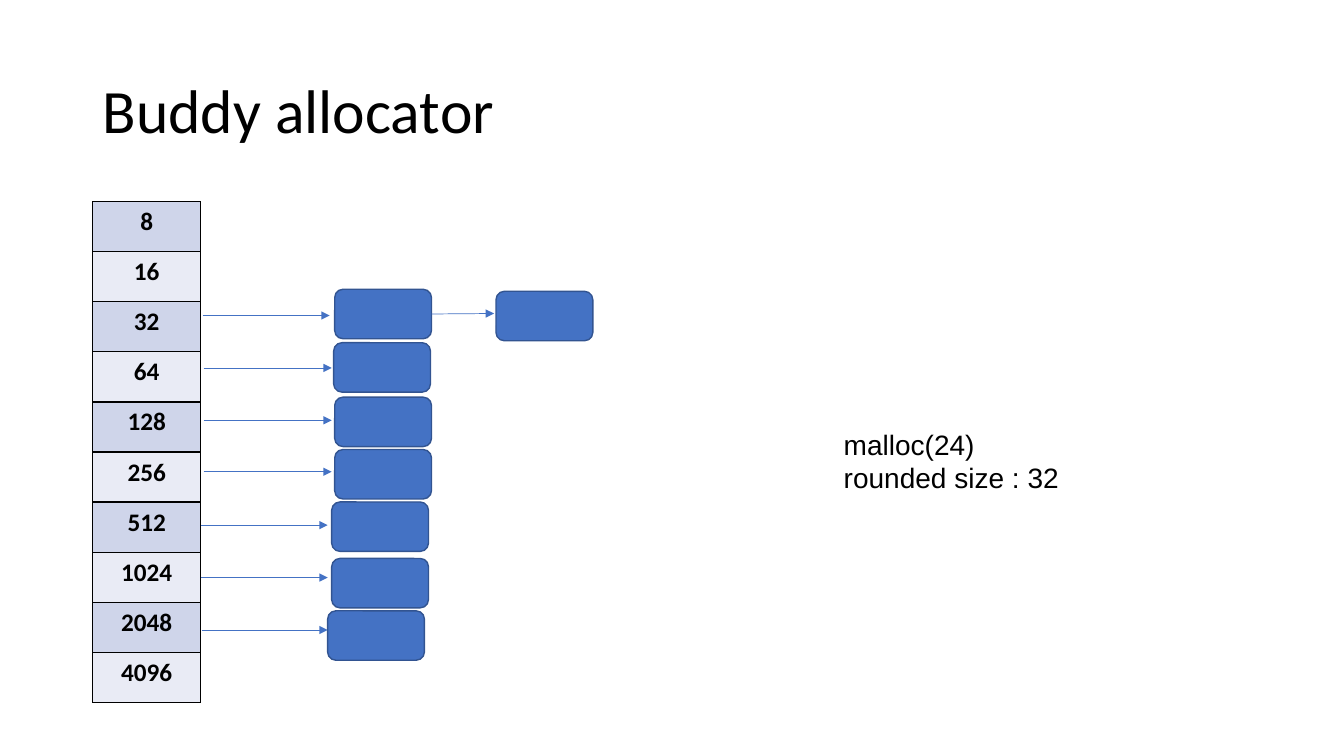
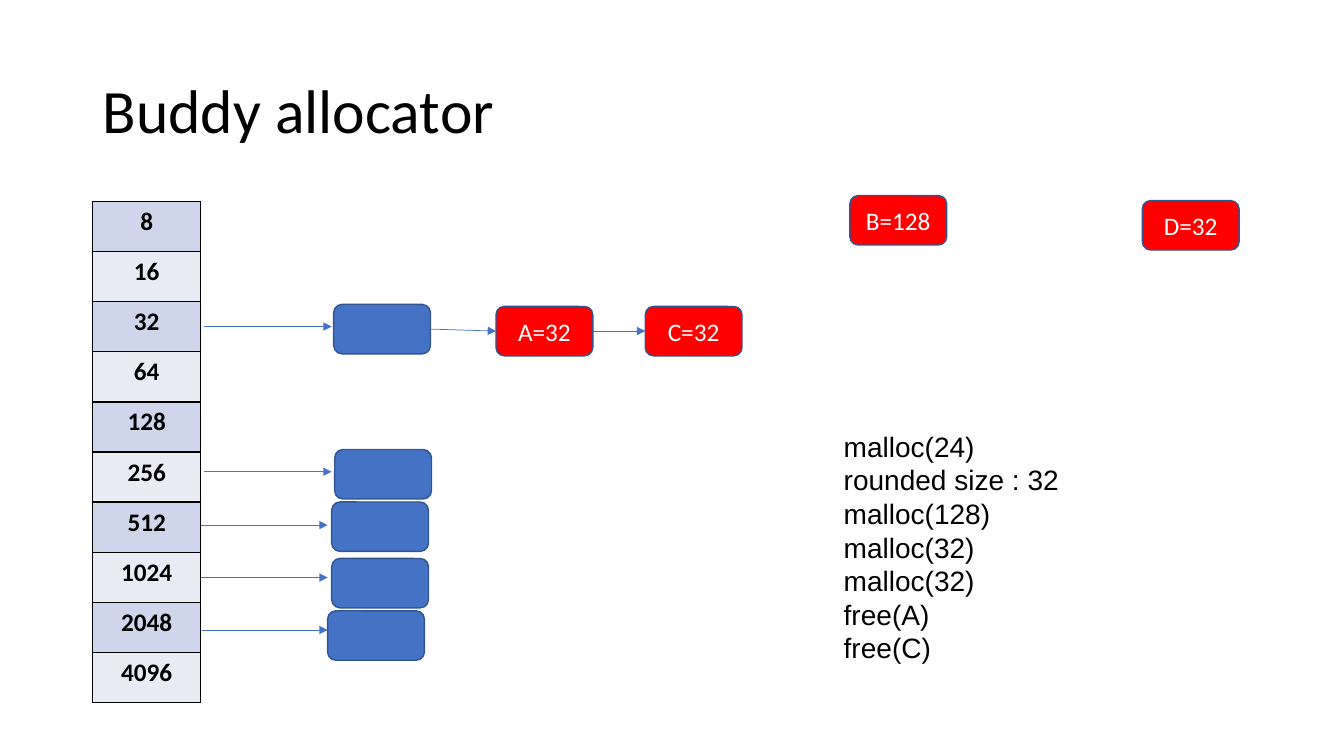
import pptx
import pptx.util
import pptx.dml.color
import pptx.enum.shapes
import pptx.enum.text
import pptx.oxml
import pptx.oxml.ns

Inches, Pt = pptx.util.Inches, pptx.util.Pt
ALIGN = pptx.enum.text.PP_ALIGN
MIDDLE = pptx.enum.text.MSO_ANCHOR.MIDDLE
KINDS = pptx.enum.shapes.MSO_SHAPE
STRAIGHT = pptx.enum.shapes.MSO_CONNECTOR.STRAIGHT

# Content
TITLE = "Buddy allocator"
SIZES = [2 ** n for n in range(3, 13)]
# Lists with free blocks on both slides: arrow (left, y, right), block (left, top)
SHARED = [
    ((2, 6.25, 3.25), (3.25, 6.06)),
    ((1.99, 5.73, 3.25), (3.29, 5.54)),
    ((1.99, 5.21, 3.25), (3.29, 4.98)),
    ((2.02, 4.68, 3.29), (3.32, 4.46)),
]
# Blocks are (left, top, label); links go from a block to a block or a point
SLIDES = [
    {
        "lists": SHARED + [
            ((2.02, 4.17, 3.29), (3.32, 3.94)),
            ((2.02, 3.65, 3.29), (3.31, 3.4)),
            ((2.01, 3.13, 3.27), (3.32, 2.87)),
        ],
        "blocks": {"next": (4.92, 2.89, "")},
        "links": [("head", (4.9, 3.11))],
        "calls": ["malloc(24)", "rounded size : 32"],
        "note": (8.27, 4.19, 4.04, 0.77),
    },
    {
        "lists": SHARED + [((2.02, 3.24, 3.29), (3.31, 3.02))],
        "blocks": {
            "B": (8.43, 1.94, "B=128"),
            "C": (6.4, 3.04, "C=32"),
            "A": (4.92, 3.04, "A=32"),
            "D": (11.33, 1.99, "D=32"),
        },
        "links": [("head", "A"), ("A", "C")],
        "calls": ["malloc(24)", "rounded size : 32", "malloc(128)",
                  "malloc(32)", "malloc(32)", "free(A)", "free(C)"],
        "note": (8.27, 4.21, 4.04, 2.46),
    },
]

# Look
HEX = {"ink": "000000", "white": "FFFFFF", "blue": "4472C4", "edge": "325491",
       "red": "FF0000", "dark": "CFD5EA", "light": "E9EBF5"}
FONTS = {
    "title": {"name": "Calibri", "size": Pt(44), "bold": False, "color": "ink"},
    "cell": {"name": "Calibri", "size": Pt(18), "bold": True, "color": "ink"},
    "block": {"name": "Calibri", "size": Pt(18), "color": "white"},
    "note": {"name": "Arial", "size": Pt(20), "color": "ink"},
}
TITLE_AT = (0.92, 0.4, 11.5, 1.45)
TABLE_AT = (0.92, 2, 1.07, 4.97)
BLOCK = (0.96, 0.49)


def rgb(name):
    return pptx.dml.color.RGBColor.from_string(HEX[name])


def inches(nums):
    return [Inches(n) for n in nums]


def write(frame, lines, style, **paras):
    """Fill a text frame with one paragraph a line."""
    frame.text = "\n".join(lines)
    for para in frame.paragraphs:
        for key, val in paras.items():
            setattr(para, key, val)
        for run in para.runs:
            for key, val in FONTS[style].items():
                if key == "color":
                    run.font.color.rgb = rgb(val)
                else:
                    setattr(run.font, key, val)


def add_title(slide):
    title = slide.shapes.title
    for key, val in zip(("left", "top", "width", "height"), inches(TITLE_AT)):
        setattr(title, key, val)
    write(title.text_frame, [TITLE], "title",
          alignment=ALIGN.LEFT, line_spacing=0.9)
    title.text_frame.vertical_anchor = MIDDLE


def add_sizes(slide):
    table = slide.shapes.add_table(len(SIZES), 1, *inches(TABLE_AT)).table
    table.first_row = table.horz_banding = False
    for i, size in enumerate(SIZES):
        cell = table.cell(i, 0)
        write(cell.text_frame, [str(size)], "cell", alignment=ALIGN.CENTER)
        props = cell._tc.get_or_add_tcPr()
        for side in ("lnL", "lnR", "lnT", "lnB"):
            props.append(pptx.oxml.parse_xml(
                f'<a:{side} {pptx.oxml.ns.nsdecls("a")} w="12700"><a:solidFill>'
                f'<a:srgbClr val="{HEX["ink"]}"/></a:solidFill></a:{side}>'))
        cell.fill.solid()
        cell.fill.fore_color.rgb = rgb("light" if i % 2 else "dark")


def add_block(slide, left, top, label=""):
    block = slide.shapes.add_shape(KINDS.ROUNDED_RECTANGLE,
                                   *inches((left, top) + BLOCK))
    block.shadow.inherit = False
    block.fill.solid()
    block.fill.fore_color.rgb = rgb("red" if label else "blue")
    block.line.color.rgb = rgb("edge")
    block.line.width = Pt(1)
    if label:
        write(block.text_frame, [label], "block", alignment=ALIGN.CENTER)
        block.text_frame.vertical_anchor = MIDDLE
    return block


def add_arrow(slide, start, end):
    arrow = slide.shapes.add_connector(STRAIGHT, *inches(start + end))
    arrow.line.color.rgb = rgb("blue")
    arrow.line.width = Pt(0.5)
    names = pptx.oxml.ns.nsdecls("a")
    arrow.line._get_or_add_ln().append(
        pptx.oxml.parse_xml(f'<a:tailEnd {names} type="triangle"/>'))
    arrow._element.spPr.append(pptx.oxml.parse_xml(f"<a:effectLst {names}/>"))
    return arrow


def add_links(slide, links, blocks):
    for source, target in links:
        joined = target in blocks
        arrow = add_arrow(slide, (0, 0), (0, 0) if joined else target)
        arrow.begin_connect(blocks[source], 3)
        if joined:
            arrow.end_connect(blocks[target], 1)


def add_note(slide, place, calls):
    frame = slide.shapes.add_textbox(*inches(place)).text_frame
    frame.word_wrap = True
    frame.auto_size = pptx.enum.text.MSO_AUTO_SIZE.SHAPE_TO_FIT_TEXT
    write(frame, calls, "note")


def main():
    deck = pptx.Presentation()
    deck.slide_width, deck.slide_height = inches((13.33, 7.5))
    for page in SLIDES:
        slide = deck.slides.add_slide(deck.slide_layouts[5])
        add_title(slide)
        add_sizes(slide)
        # Free lists; the last one, for size 32, is the head of the chain
        blocks = {}
        for (left, y, right), spot in page["lists"]:
            add_arrow(slide, (left, y), (right, y))
            blocks["head"] = add_block(slide, *spot)
        for name, block in page["blocks"].items():
            blocks[name] = add_block(slide, *block)
        add_links(slide, page["links"], blocks)
        add_note(slide, page["note"], page["calls"])
    deck.save("out.pptx")


if __name__ == "__main__":
    main()
